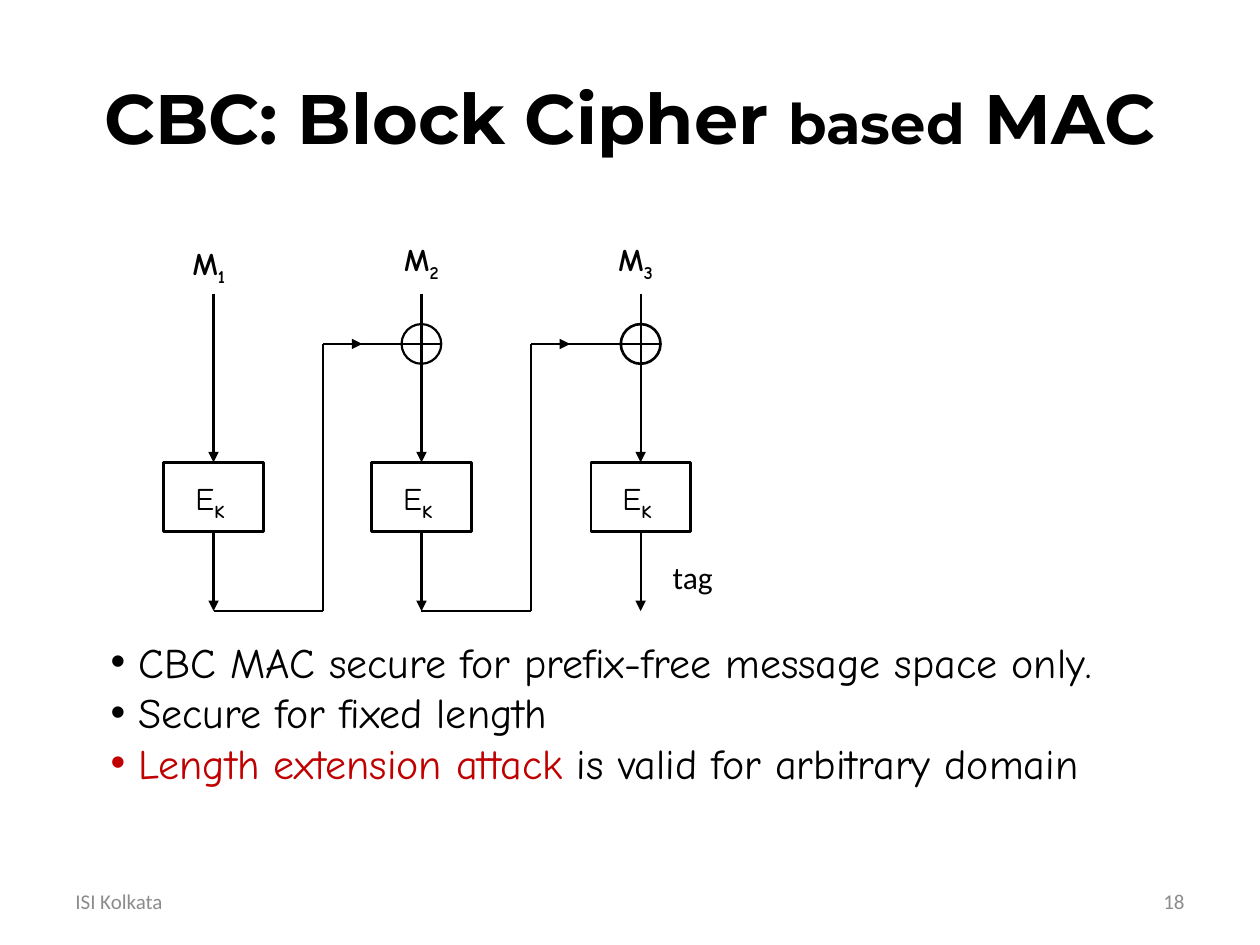
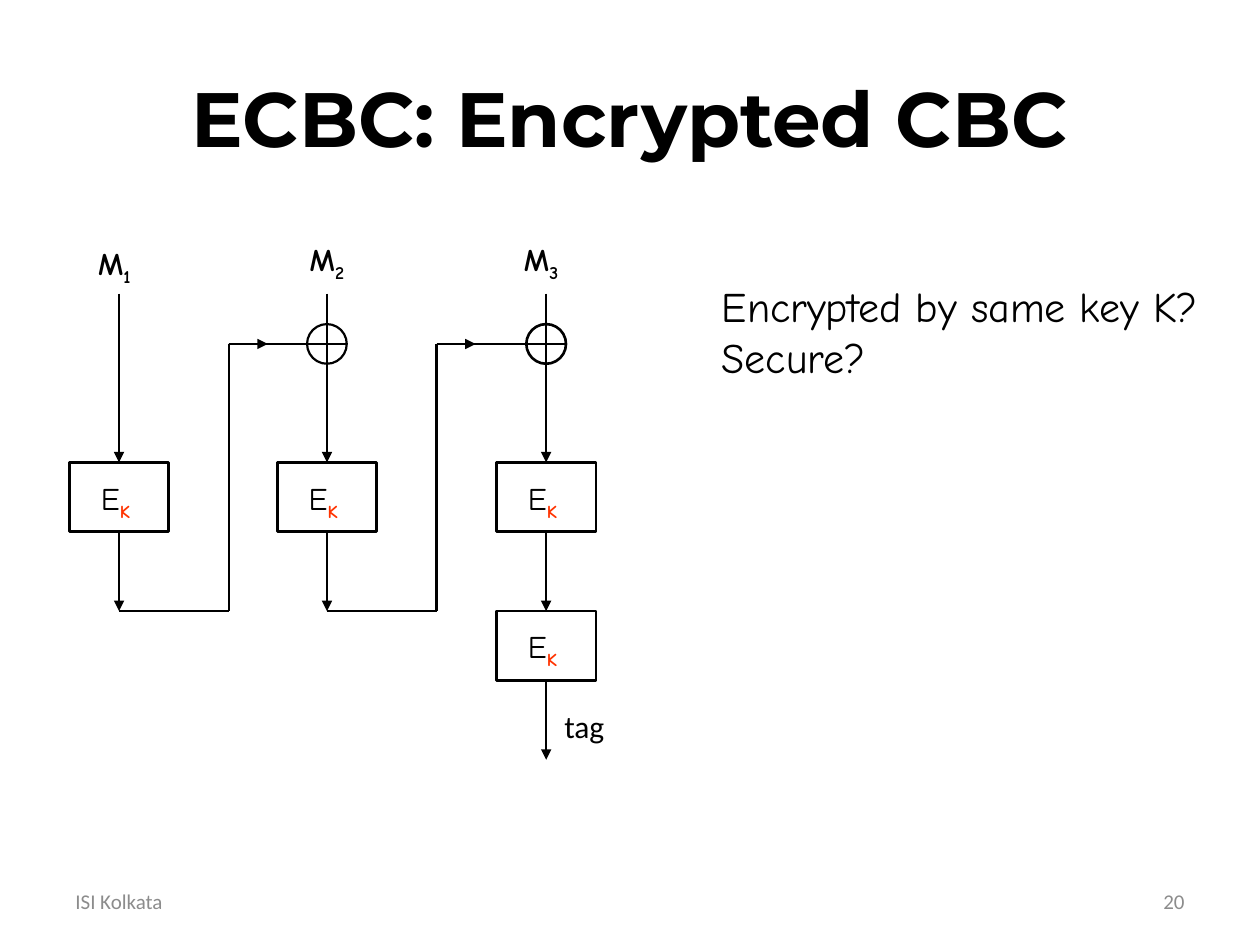
from dataclasses import dataclass

from lxml.etree import SubElement
from pptx import Presentation
from pptx.dml.color import RGBColor
from pptx.enum.shapes import MSO_CONNECTOR, MSO_SHAPE
from pptx.enum.text import MSO_ANCHOR, MSO_AUTO_SIZE, PP_ALIGN
from pptx.oxml.ns import qn
from pptx.util import Inches, Pt

BLACK, GREY, RED, ORANGE = "000000", "8C8C8C", "C00000", "FF3300"
TITLE = {"name": "Montserrat", "bold": True}
FOOTER = {"name": "Calibri", "size": Pt(12), "color": GREY}
BODY = {"name": "Comic Neue", "size": Pt(24)}
SYMBOL = {"name": "Comic Neue", "size": Pt(18)}
TAG = {"name": "Calibri", "size": Pt(18)}
BOLD = {"bold": True}
SUBSCRIPT = {"bold": True, "baseline": "-25000"}

CIPHER_WIDTH, CIPHER_HEIGHT = 0.79, 0.55
CIPHER_TOP, STAGE_PITCH = 1.34, 1.18
XOR_LEVEL, XOR_SIZE = 0.4, 0.315
RETURN_LEVEL, RETURN_REACH, ARROW_REACH = 2.52, 0.87, 0.31


@dataclass
class Column:
    """One message block's place in the chain, relative to the diagram."""
    offset: float
    label_left: float
    label_top: float
    ring_weight: float = 0
    cross_weight: float = 0


COLUMNS = [
    Column(0, 0.13, -0.44),
    Column(1.65, 0.16, -0.47, 1.25, 1.25),
    Column(3.39, 0.12, -0.47, 1.5, 0.75),
]


def color(value):
    """Turn a hex string into a colour."""
    return RGBColor.from_string(value)


def write_spans(para, spans, base):
    """Add (text, format) spans to a paragraph on top of a base format."""
    for text, extra in spans:
        span = para.add_run()
        span.text = text
        values = {"color": BLACK, **base, **extra}
        span.font.color.rgb = color(values.pop("color"))
        baseline = values.pop("baseline", None)
        if baseline:
            span._r.get_or_add_rPr().set("baseline", baseline)
        for name, value in values.items():
            setattr(span.font, name, value)


def add_bullet(para, indent=0.22):
    """Give a paragraph a round bullet with a hanging indent."""
    properties = para._p.get_or_add_pPr()
    properties.set("marL", str(Inches(indent)))
    properties.set("indent", str(-Inches(indent)))
    SubElement(properties, qn("a:buFont")).set("typeface", "Arial")
    SubElement(properties, qn("a:buChar")).set("char", "•")


def add_text(page, at, paragraphs, base, align=PP_ALIGN.LEFT,
             anchor=MSO_ANCHOR.TOP, wrap=True, bullets=False):
    """Add a text box holding one list of spans per paragraph."""
    box = page.shapes.add_textbox(*map(Inches, at))
    frame = box.text_frame
    frame.word_wrap = wrap
    frame.vertical_anchor = anchor
    if anchor == MSO_ANCHOR.TOP:
        frame.auto_size = MSO_AUTO_SIZE.SHAPE_TO_FIT_TEXT
    for index, spans in enumerate(paragraphs):
        para = frame.add_paragraph() if index else frame.paragraphs[0]
        para.alignment = align
        if bullets:
            add_bullet(para)
        write_spans(para, spans, base)


def add_line(shapes, start, end, weight=1.25, arrow=False):
    """Add a straight black line, with an arrowhead at its end if asked."""
    line = shapes.add_connector(MSO_CONNECTOR.STRAIGHT,
                                *map(Inches, (*start, *end)))
    line.line.color.rgb = color(BLACK)
    line.line.width = Pt(weight)
    properties = line._element.spPr
    if arrow:
        SubElement(properties.find(qn("a:ln")), qn("a:tailEnd")).set("type", "triangle")
    SubElement(properties, qn("a:effectLst"))
    return line


def add_outline(shapes, kind, at, weight):
    """Add an unfilled preset shape with a black outline."""
    shape = shapes.add_shape(kind, *map(Inches, at))
    shape.shadow.inherit = False
    shape.fill.background()
    shape.line.color.rgb = color(BLACK)
    shape.line.width = Pt(weight)
    return shape


def add_cipher(page, left, top, key_color):
    """Add one block cipher box labelled E with subscript K."""
    cipher = add_outline(page.shapes, MSO_SHAPE.RECTANGLE,
                         (left, top, CIPHER_WIDTH, CIPHER_HEIGHT), 1.5)
    frame = cipher.text_frame
    frame.word_wrap = False
    frame.vertical_anchor = MSO_ANCHOR.TOP
    margins = {"margin_left": 0.25, "margin_top": 0.13,
               "margin_right": 0, "margin_bottom": 0}
    for name, value in margins.items():
        setattr(frame, name, Inches(value))
    para = frame.paragraphs[0]
    para.alignment = PP_ALIGN.LEFT
    write_spans(para, [("E", {}), ("K", {**SUBSCRIPT, "color": key_color})], SYMBOL)
    return cipher


def add_xor(page, center, level, column):
    """Add a grouped circle with a cross inside."""
    shapes = page.shapes.add_group_shape().shapes
    radius = XOR_SIZE / 2
    add_outline(shapes, MSO_SHAPE.OVAL,
                (center - radius, level - radius, XOR_SIZE, XOR_SIZE), column.ring_weight)
    add_line(shapes, (center - radius, level), (center + radius, level), column.cross_weight)
    add_line(shapes, (center, level - radius), (center, level + radius), column.cross_weight)


def add_feedback(page, start, center, top, weight):
    """Carry one output from its column up to the next column's circle."""
    riser = start + RETURN_REACH
    low, high = top + RETURN_LEVEL, top + XOR_LEVEL
    add_line(page.shapes, (start, low), (riser, low))
    add_line(page.shapes, (riser, low), (riser, high))
    add_line(page.shapes, (riser, high), (center - XOR_SIZE / 2, high), weight)
    add_line(page.shapes, (riser, high), (riser + ARROW_REACH, high), arrow=True)


def add_chain(page, left, top, key_color, final_stages, tag_left):
    """Draw the cipher chain, with a number of stages in its last column."""
    previous = None
    for number, column in enumerate(COLUMNS, 1):
        column_left = left + column.offset
        center = column_left + CIPHER_WIDTH / 2
        add_text(page, (column_left + column.label_left, top + column.label_top, 0.52, 0.4),
                 [[("M", BOLD), (str(number), SUBSCRIPT)]], SYMBOL, wrap=False)
        arrow = add_line(page.shapes, (center, top), (center, top + CIPHER_TOP), arrow=True)
        stages = final_stages if number == len(COLUMNS) else 1
        for stage in range(stages):
            stage_top = top + CIPHER_TOP + stage * STAGE_PITCH
            cipher = add_cipher(page, column_left, stage_top, key_color)
            arrow.end_connect(cipher, 0)
            arrow = add_line(page.shapes, (center, stage_top + CIPHER_HEIGHT),
                             (center, stage_top + STAGE_PITCH), arrow=True)
            arrow.begin_connect(cipher, 2)
        if previous is not None:
            add_feedback(page, previous, center, top, column.ring_weight)
            add_xor(page, center, top + XOR_LEVEL, column)
        previous = center
    add_text(page, (left + tag_left, stage_top + 0.71, 0.55, 0.4),
             [[("tag", {})]], TAG, wrap=False)


def add_page(deck, number, title):
    """Add a slide with its title, footer and slide number."""
    page = deck.slides.add_slide(deck.slide_layouts[6])
    add_text(page, (0.5, 0.3, 9, 1.25), [title], TITLE, PP_ALIGN.CENTER, MSO_ANCHOR.MIDDLE)
    footers = [(0.5, "ISI Kolkata", PP_ALIGN.LEFT), (7.17, str(number), PP_ALIGN.RIGHT)]
    for left, text, align in footers:
        add_text(page, (left, 6.95, 2.33, 0.4), [[(text, {})]], FOOTER, align,
                 MSO_ANCHOR.MIDDLE)
    return page


def build_cbc(deck):
    """Build the CBC slide."""
    large, small = {"size": Pt(40)}, {"size": Pt(32)}
    page = add_page(deck, 18, [("CBC: Block Cipher ", large), ("based", small),
                               (" MAC", large)])
    add_chain(page, 1.3, 2.33, BLACK, final_stages=1, tag_left=3.94)
    points = [
        [("CBC MAC secure for prefix-free message space only.", {})],
        [("Secure for fixed length", {})],
        [("Length extension attack ", {"color": RED}), ("is valid for arbitrary domain", {})],
    ]
    add_text(page, (0.78, 5, 8.78, 1.31), points, BODY, bullets=True)


def build_ecbc(deck):
    """Build the encrypted CBC slide."""
    page = add_page(deck, 20, [("ECBC: Encrypted CBC", {"size": Pt(44)})])
    add_chain(page, 0.55, 2.33, ORANGE, final_stages=2, tag_left=3.83)
    questions = [[("Encrypted by same key K?", {})], [("Secure?", {})]]
    add_text(page, (5.63, 2.18, 4.37, 0.91), questions, BODY)


def main():
    """Build and save the deck."""
    deck = Presentation()
    deck.slide_width, deck.slide_height = Inches(10), Inches(7.5)
    build_cbc(deck)
    build_ecbc(deck)
    deck.save("out.pptx")


if __name__ == "__main__":
    main()
